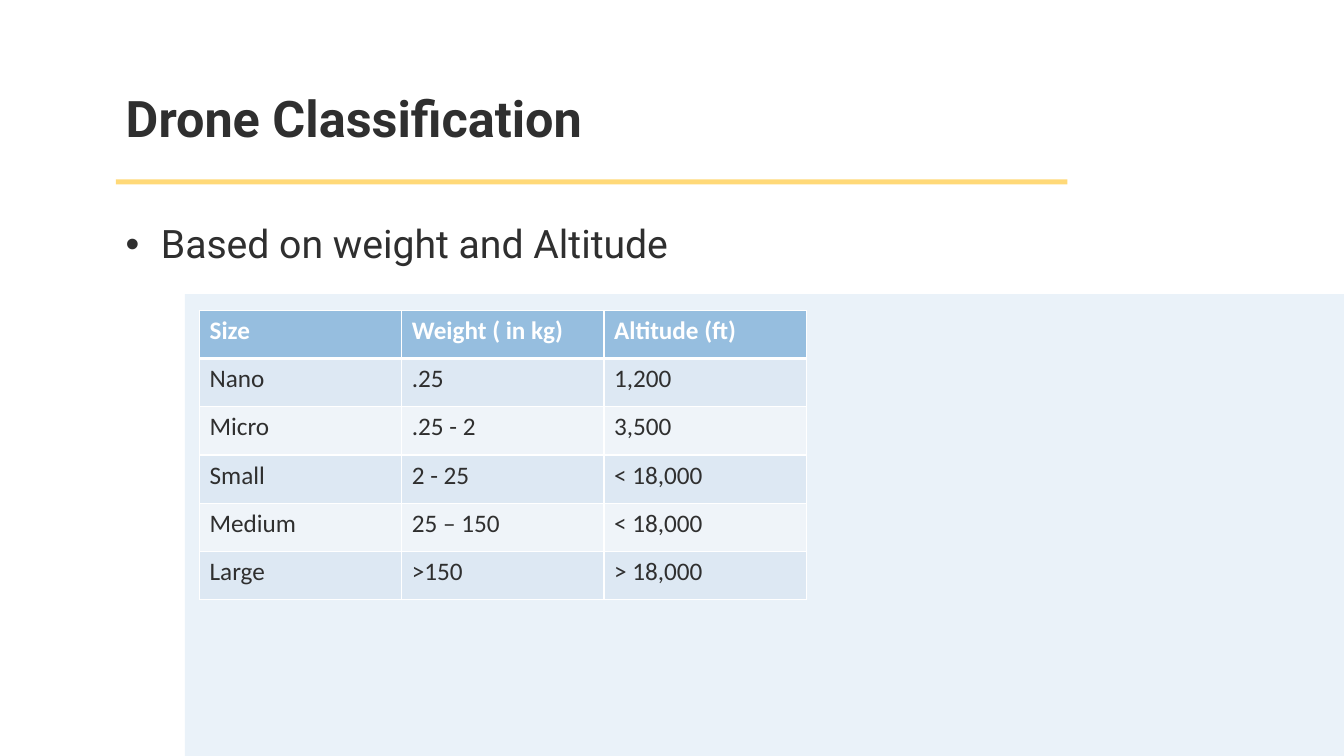
from dataclasses import dataclass

from lxml import etree
from pptx import Presentation
from pptx.dml.color import RGBColor
from pptx.enum.shapes import MSO_SHAPE
from pptx.enum.text import MSO_ANCHOR
from pptx.oxml.ns import qn
from pptx.slide import Slide
from pptx.table import _Cell
from pptx.text.text import _Paragraph
from pptx.util import Cm, Pt

RECT = MSO_SHAPE.RECTANGLE
TOP = MSO_ANCHOR.TOP
MIDDLE = MSO_ANCHOR.MIDDLE


@dataclass(frozen=True)
class Theme:
    ink: str = "2F2F2F"
    white: str = "FFFFFF"
    panel: str = "EAF2F9"
    accent: str = "FFD978"
    header: str = "96BEDF"
    bands: tuple[str, str] = ("DDE8F3", "EFF4F9")
    font: str = "Roboto"
    table_font: str = "Calibri"
    title: int = 36
    body: int = 28
    cell: int = 18
    thin: int = 1
    thick: int = 3


@dataclass(frozen=True)
class Box:
    left: float
    top: float
    width: float
    height: float

    def place(self) -> tuple[Cm, Cm, Cm, Cm]:
        return Cm(self.left), Cm(self.top), Cm(self.width), Cm(self.height)


@dataclass(frozen=True)
class Block:
    box: Box
    color: str


@dataclass(frozen=True)
class Label:
    box: Box
    text: str
    size: int
    bold: bool
    anchor: MSO_ANCHOR
    bullet: bool


THEME = Theme()
WIDTH, HEIGHT = 33.87, 19.05
LEFT, SPAN = 2.92, 27.99
PANEL_LEFT, PANEL_TOP = 4.66, 7.41

BLOCKS = (
    Block(Box(PANEL_LEFT, PANEL_TOP, WIDTH - PANEL_LEFT, HEIGHT - PANEL_TOP), THEME.panel),
    Block(Box(LEFT, 4.52, 23.98, 0.13), THEME.accent),
)
LABELS = (
    Label(Box(LEFT, 1.52, SPAN, 3.05), "Drone Classification",
          THEME.title, True, MIDDLE, False),
    Label(Box(LEFT, 5.54, SPAN, 11.63), " Based on weight and Altitude",
          THEME.body, False, TOP, True),
)
GRID = Box(5.03, 7.82, 15.29, 7.29)
ROWS = (
    ("Size", "Weight ( in kg)", "Altitude (ft)"),
    ("Nano", ".25", "1,200"),
    ("Micro", ".25 - 2", "3,500"),
    ("Small", "2 - 25", "< 18,000"),
    ("Medium", "25 – 150", "< 18,000"),
    ("Large", ">150", "> 18,000"),
)


def style_text(para: _Paragraph, font: str, size: int, color: str, bold: bool) -> None:
    for run in para.runs:
        run.font.name = font
        run.font.size = Pt(size)
        run.font.bold = bold
        run.font.color.rgb = RGBColor.from_string(color)


def add_block(slide: Slide, block: Block) -> None:
    shape = slide.shapes.add_shape(RECT, *block.box.place())
    shape.shadow.inherit = False
    shape.fill.solid()
    shape.fill.fore_color.rgb = RGBColor.from_string(block.color)
    shape.line.fill.background()


def add_bullet(para: _Paragraph) -> None:
    para.space_before = Pt(10)
    props = para._p.get_or_add_pPr()
    indent = Cm(0.64)
    props.set("marL", str(indent))
    props.set("indent", str(-indent))
    etree.SubElement(props, qn("a:buFont"), typeface="Arial")
    etree.SubElement(props, qn("a:buChar"), char="•")


def add_label(slide: Slide, label: Label) -> None:
    frame = slide.shapes.add_textbox(*label.box.place()).text_frame
    frame.word_wrap = True
    frame.vertical_anchor = label.anchor
    frame.text = label.text
    para = frame.paragraphs[0]
    para.line_spacing = 0.9
    if label.bullet:
        add_bullet(para)
    style_text(para, THEME.font, label.size, THEME.ink, label.bold)


def add_edge(cell: _Cell, side: str, width: int) -> None:
    props = cell._tc.get_or_add_tcPr()
    line = etree.SubElement(props, qn(f"a:ln{side}"), w=str(Pt(width)))
    fill = etree.SubElement(line, qn("a:solidFill"))
    etree.SubElement(fill, qn("a:srgbClr"), val=THEME.white)


def fill_cell(cell: _Cell, text: str, row: int) -> None:
    head = row == 0
    heavy = {0: "B", 1: "T"}.get(row)
    for side in "LRTB":
        add_edge(cell, side, THEME.thick if side == heavy else THEME.thin)
    cell.fill.solid()
    color = THEME.header if head else THEME.bands[(row - 1) % 2]
    cell.fill.fore_color.rgb = RGBColor.from_string(color)
    cell.text_frame.text = text
    ink = THEME.white if head else THEME.ink
    style_text(cell.text_frame.paragraphs[0], THEME.table_font, THEME.cell, ink, head)


def add_grid(slide: Slide) -> None:
    table = slide.shapes.add_table(len(ROWS), len(ROWS[0]), *GRID.place()).table
    for row, texts in enumerate(ROWS):
        for col, text in enumerate(texts):
            fill_cell(table.cell(row, col), text, row)


def main() -> None:
    deck = Presentation()
    deck.slide_width, deck.slide_height = Cm(WIDTH), Cm(HEIGHT)
    slide = deck.slides.add_slide(deck.slide_layouts[6])
    for block in BLOCKS:
        add_block(slide, block)
    for label in LABELS:
        add_label(slide, label)
    add_grid(slide)
    deck.save("out.pptx")


if __name__ == "__main__":
    main()
